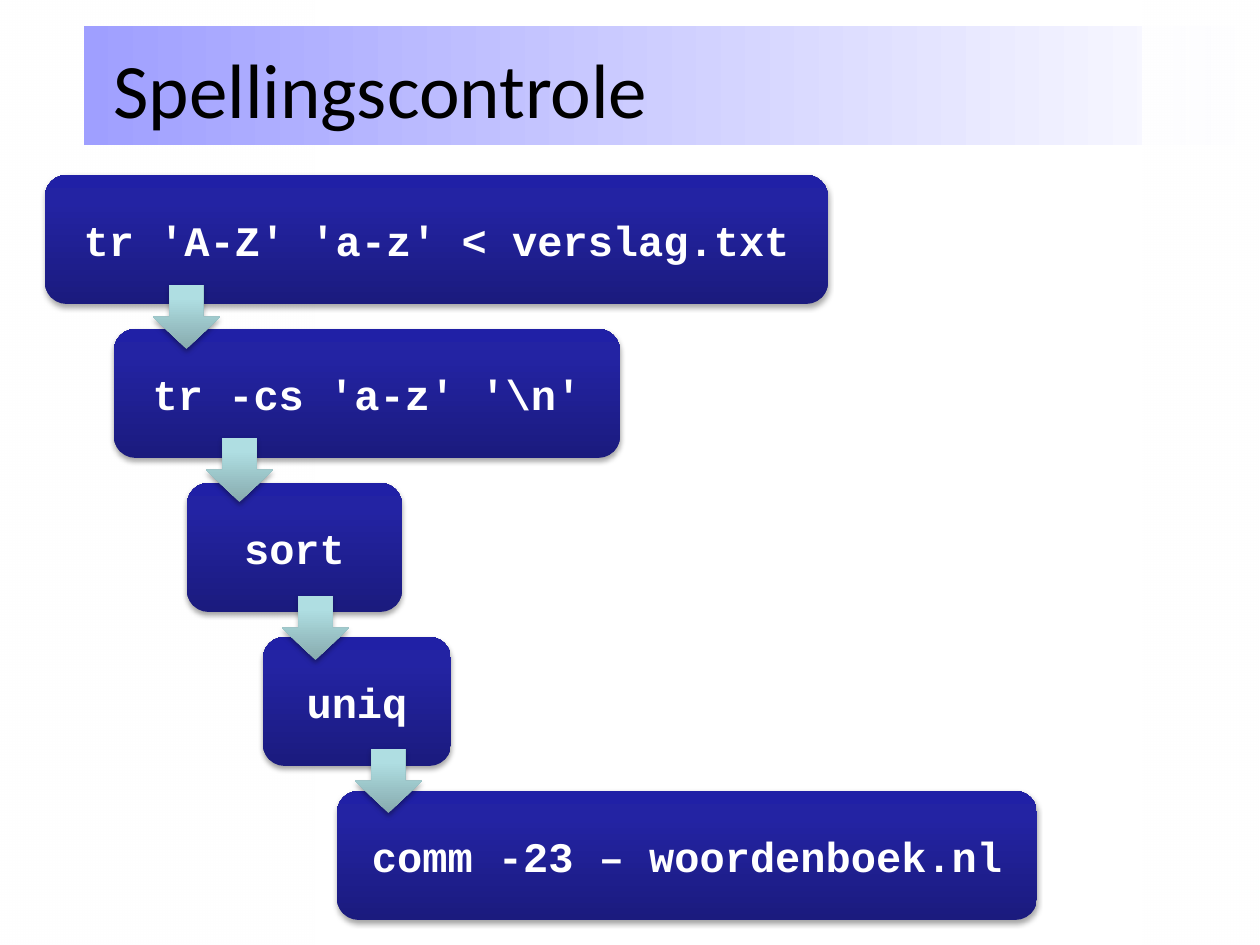
from lxml import etree
from pptx import Presentation, util as u
from pptx.dml.color import RGBColor
from pptx.enum import shapes, text
from pptx.oxml import ns

SCALE = 914400 / 126
COLORS = {
    "white": "FFFFFF", "black": "000000", "lilac": "9F9FFF",
    "navy": "1B1B7E", "indigo": "2323A3", "blue": "2020A6",
    "slate": "87ABAE", "aqua": "AFDEE2", "ice": "AFE0E4",
}
TITLE = "Spellingscontrole"
COMMANDS = [
    ("tr 'A-Z' 'a-z' < verslag.txt", 45, 783),
    ("tr -cs 'a-z' '\\n'", 114, 506),
    ("sort", 187, 215),
    ("uniq", 263, 188),
    ("comm -23 – woordenboek.nl", 337, 700),
]
PIPES = [(153, 285), (206, 438), (282, 596), (355, 749)]
BACKDROP = [
    ((0, 0, 315, 945), [(0, "white", 38), (100, "white", 100)]),
    ((84, 26, 1176, 119), [(0, "lilac", 100), (100, "white", 100)]),
    ((1143, 0, 116, 945), [(0, "white", 100), (100, "white", 38)]),
]
COMMAND_FILL = [(0, "navy", 100), (80, "indigo", 100), (100, "blue", 100)]
PIPE_FILL = [(0, "slate", 100), (80, "aqua", 100), (100, "ice", 100)]
FIRST_TOP, STEP, COMMAND_HEIGHT = 175, 154, 129
PIPE_SIZE = (67, 64)


def px(*lengths):
    return [u.Emu(round(length * SCALE)) for length in lengths]


def add_element(parent, tag, **attributes):
    return etree.SubElement(parent, ns.qn(tag), {k: str(v) for k, v in attributes.items()})


def add_color(parent, name, alpha):
    color = add_element(parent, "a:srgbClr", val=COLORS[name])
    if alpha < 100:
        add_element(color, "a:alpha", val=alpha * 1000)


def add_block(slide, preset, box, stops, angle=0, shadow=False):
    block = slide.shapes.add_shape(preset, *px(*box))
    block.shadow.inherit = False
    block.line.fill.background()
    block.fill.gradient()
    properties = block.element.spPr
    gradient = properties.find(ns.qn("a:gradFill"))
    for child in list(gradient):
        gradient.remove(child)
    stop_list = add_element(gradient, "a:gsLst")
    for position, name, alpha in stops:
        add_color(add_element(stop_list, "a:gs", pos=position * 1000), name, alpha)
    add_element(gradient, "a:lin", ang=angle * 60000, scaled=0)
    if shadow:
        effects = properties.find(ns.qn("a:effectLst"))
        outer = add_element(effects, "a:outerShdw", blurRad=u.Pt(3.1), dist=u.Pt(1.8),
                            dir=90 * 60000, rotWithShape=0)
        add_color(outer, "black", 35)
    return block


def write(holder, words, font, size, color, bold=False, align=text.PP_ALIGN.LEFT, wrap=True):
    frame = holder.text_frame
    frame.word_wrap = wrap
    frame.vertical_anchor = text.MSO_ANCHOR.MIDDLE
    paragraph = frame.paragraphs[0]
    paragraph.alignment = align
    run = paragraph.add_run()
    run.text = words
    run.font.name = font
    run.font.size = u.Pt(size)
    run.font.bold = bold
    run.font.color.rgb = RGBColor.from_string(COLORS[color])


def main():
    deck = Presentation()
    deck.slide_width, deck.slide_height = px(1260, 945)
    slide = deck.slides.add_slide(deck.slide_layouts[6])
    preset = shapes.MSO_SHAPE

    for box, stops in BACKDROP:
        add_block(slide, preset.RECTANGLE, box, stops)

    title = slide.shapes.add_textbox(*px(101, 9, 1041, 157))
    write(title, TITLE, "Calibri", 44, "black")

    for row, (command, left, width) in enumerate(COMMANDS):
        box = (left, FIRST_TOP + row * STEP, width, COMMAND_HEIGHT)
        step = add_block(slide, preset.ROUNDED_RECTANGLE, box, COMMAND_FILL, 270, True)
        write(step, command, "Courier New", 24, "white", bold=True,
              align=text.PP_ALIGN.CENTER, wrap=False)

    for corner in PIPES:
        add_block(slide, preset.DOWN_ARROW, corner + PIPE_SIZE, PIPE_FILL, 270, True)

    deck.save("out.pptx")


if __name__ == "__main__":
    main()
